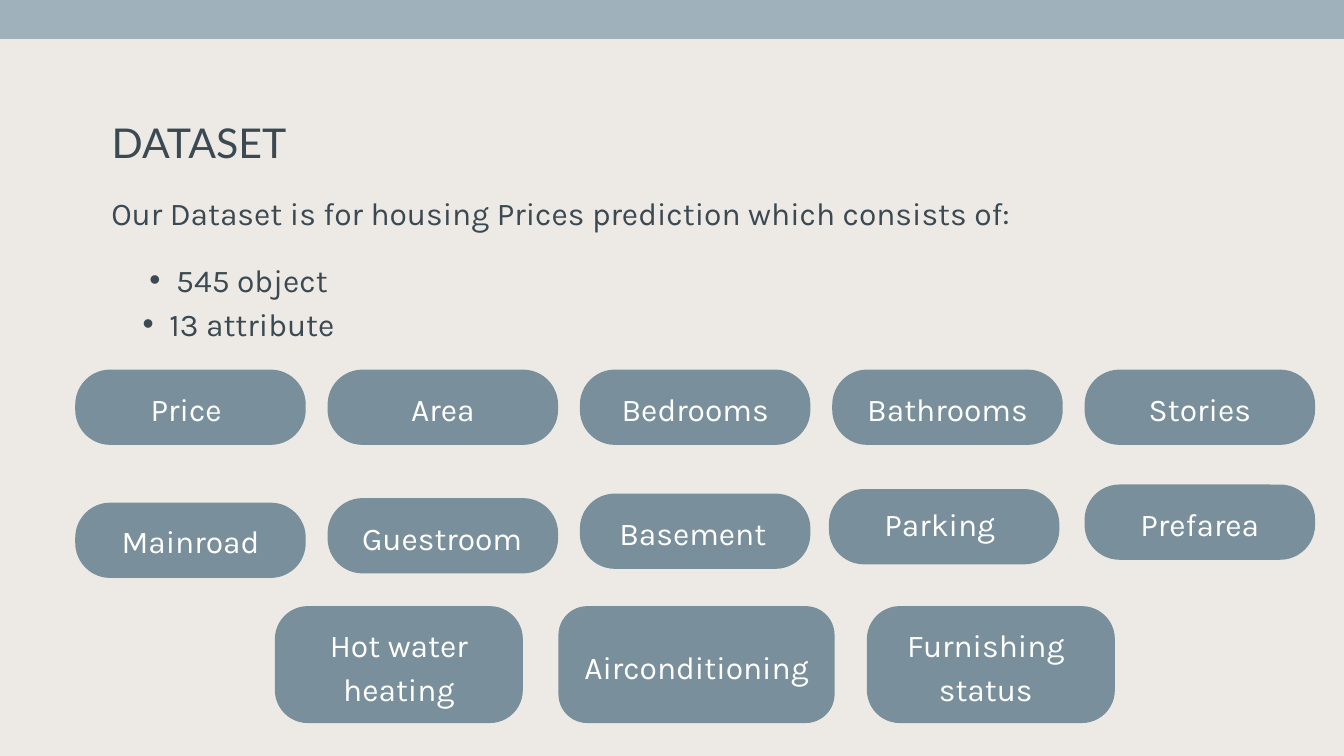
import pptx
import pptx.util
import pptx.dml.color
import pptx.enum.shapes
import pptx.enum.text
import pptx.oxml.ns
import lxml.etree

Inches = pptx.util.Inches
Pt = pptx.util.Pt
RGBColor = pptx.dml.color.RGBColor
Shape = pptx.enum.shapes.MSO_SHAPE
Align = pptx.enum.text.PP_ALIGN
qn = pptx.oxml.ns.qn

CREAM = RGBColor(0xED, 0xEA, 0xE5)
BLUE = RGBColor(0x91, 0xA8, 0xB4)
STEEL = RGBColor(0x79, 0x8F, 0x9B)
SLATE = RGBColor(0x3B, 0x4A, 0x52)
WHITE = RGBColor(0xFF, 0xFF, 0xFF)

FRAME = {
    "margin_left": 0, "margin_top": 0, "margin_right": 0, "margin_bottom": 0,
    "word_wrap": True,
    "vertical_anchor": pptx.enum.text.MSO_ANCHOR.TOP,
    "auto_size": pptx.enum.text.MSO_AUTO_SIZE.NONE,
}


def write(frame, lines, tint, align=Align.CENTER, face="Karla", size=34):
    for key, value in FRAME.items():
        setattr(frame, key, value)
    frame.text = "\n".join(lines)
    for para in frame.paragraphs:
        para.alignment = align
        para.line_spacing = Pt(size * 1.4)
        for key, value in {"name": face, "size": Pt(size)}.items():
            setattr(para.runs[0].font, key, value)
        para.runs[0].font.color.rgb = tint


def block(kind, left, top, width, height, tint):
    shape = slide.shapes.add_shape(
        kind, Inches(left), Inches(top), Inches(width), Inches(height))
    shape.shadow.inherit = False
    shape.fill.solid()
    shape.fill.fore_color.rgb = tint
    shape.line.fill.background()
    return shape


deck = pptx.Presentation()
deck.slide_width = Inches(20)
deck.slide_height = Inches(11.25)
slide = deck.slides.add_slide(deck.slide_layouts[5])
slide.background.fill.solid()
slide.background.fill.fore_color.rgb = CREAM

band = block(Shape.RECTANGLE, 0, -0.58, 20, 1.16, BLUE)
shade = band.fill._xPr.find(".//" + qn("a:srgbClr"))
lxml.etree.SubElement(shade, qn("a:alpha"), val="84000")

title = slide.shapes.title
place = {"left": 1.66, "top": 1.62, "width": 5.67, "height": 0.82}
for key, value in place.items():
    setattr(title, key, Inches(value))
write(title.text_frame, ["DATASET"], SLATE, Align.LEFT, "Lato", 44)

intro = slide.shapes.add_textbox(
    Inches(1.31), Inches(2.79), Inches(14.07), Inches(0.63))
write(intro.text_frame,
      ["Our Dataset is for housing Prices prediction which consists of:"], SLATE)

facts = slide.shapes.add_textbox(
    Inches(1.12), Inches(3.78), Inches(4.46), Inches(1.29))
write(facts.text_frame, ["545 object", "13 attribute"], SLATE)
for para in facts.text_frame.paragraphs:
    para.level = 1
    props = para._p.get_or_add_pPr()
    props.set("marL", str(Inches(0.8)))
    props.set("indent", str(Inches(-0.4)))
    lxml.etree.SubElement(props, qn("a:buFont"), typeface="Arial")
    lxml.etree.SubElement(props, qn("a:buChar"), char="•")

# label lines, left, top, width, height, corner, text drop, right margin
pills = []
heads = ["Price", "Area", "Bedrooms", "Bathrooms", "Stories"]
for col, name in enumerate(heads):
    inset = 0.13 if name == "Price" else 0
    pills.append(([name], 1.12 + 3.755 * col, 5.5, 3.43, 1.12, 0.52, 0.2, inset))

lower = [("Mainroad", 0.19, 0), ("Guestroom", 0.21, 0.02),
         ("Basement", 0.2, 0.07), ("Parking", 0.14, 0.13), ("Prefarea", 0.21, 0)]
for col, (name, drop, inset) in enumerate(lower):
    nudge = 0.05 if name == "Parking" else 0
    pills.append(([name], 1.12 + 3.755 * col - nudge, 7.48 - 0.0675 * col,
                  3.43, 1.12, 0.52, drop, inset))

pills += [
    (["Hot water heating"], 4.09, 9.02, 3.69, 1.74, 0.49, 0.19, 0),
    (["Airconditioning"], 8.31, 9.02, 4.11, 1.74, 0.43, 0.52, 0),
    (["Furnishing", "status"], 12.9, 9.02, 3.69, 1.74, 0.49, 0.19, 0.15),
]

for lines, left, top, width, height, corner, drop, inset in pills:
    pill = block(Shape.ROUNDED_RECTANGLE, left, top, width, height, STEEL)
    pill.adjustments[0] = corner / height
    write(pill.text_frame, lines, WHITE)
    pill.text_frame.margin_top = Inches(drop - 0.29 * corner)
    pill.text_frame.margin_right = Inches(inset)

deck.save("out.pptx")
